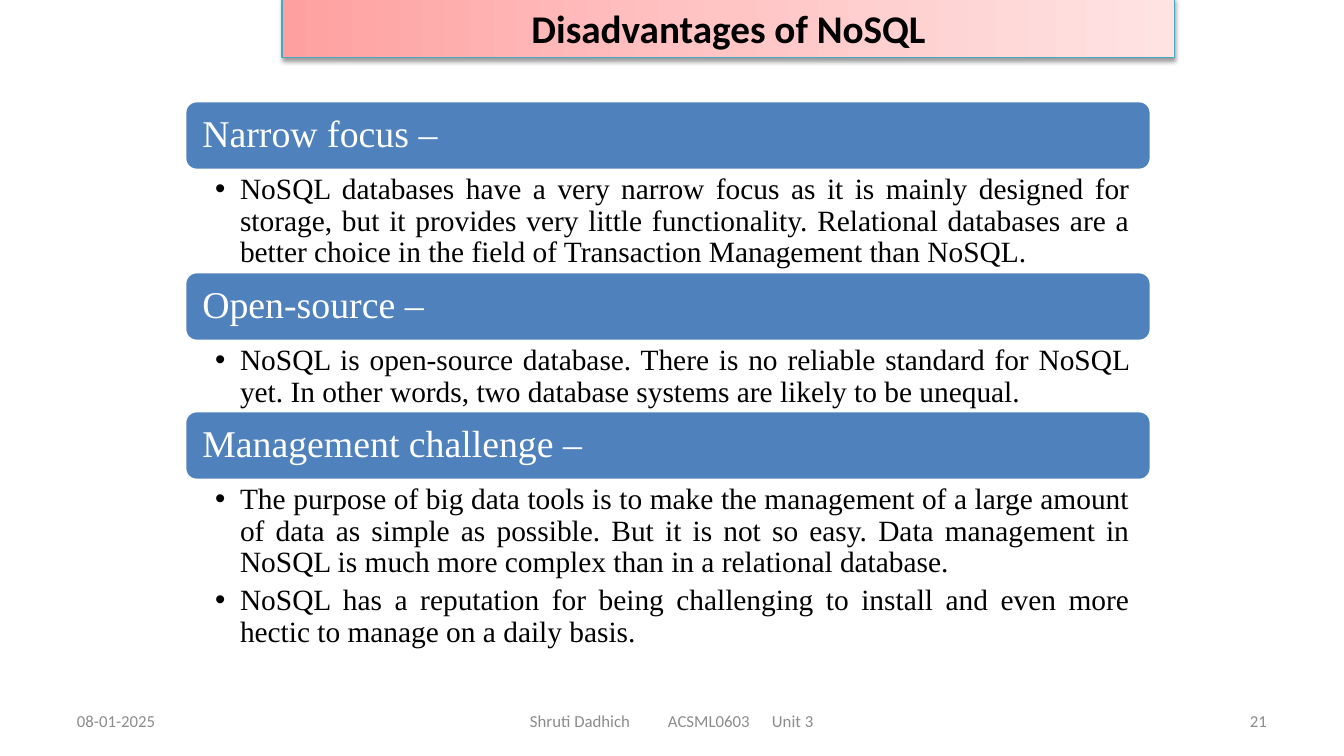
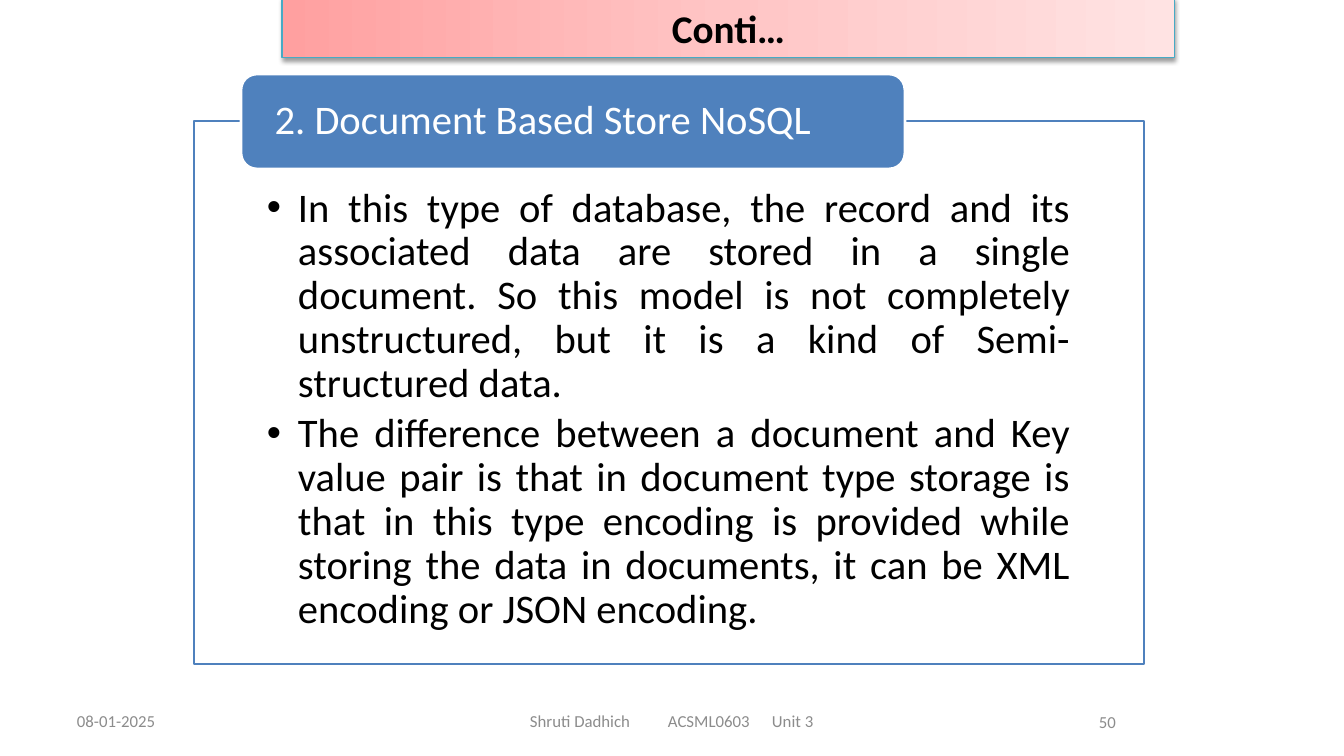
from dataclasses import dataclass

from lxml.etree import SubElement
from pptx import Presentation
from pptx.dml.color import RGBColor
from pptx.enum.shapes import MSO_SHAPE
from pptx.enum.text import MSO_ANCHOR, MSO_AUTO_SIZE, PP_ALIGN
from pptx.oxml import parse_xml
from pptx.oxml.ns import nsdecls, qn
from pptx.util import Inches, Pt

SCALE = Inches(7.5) / 756


def px(length):
    return round(length * SCALE)


@dataclass(frozen=True)
class Theme:
    sans: str = "Calibri"
    serif: str = "Times New Roman"
    ink: str = "000000"
    paper: str = "FFFFFF"
    accent: str = "4F81BD"
    muted: str = "8C8C8C"
    band_edge: str = "46AAC5"
    band_stops: tuple = ((0, "FFA0A0"), (0.5, "FFC5C5"), (1, "FFE3E3"))
    title_size: int = 28
    footer_size: int = 12
    topic_size: int = 27
    detail_size: int = 21
    store_size: int = 29
    paragraph_gap: float = 4.5
    line_spacing: float = 0.9


class Deck:
    TITLE_AND_CONTENT = 1
    COMPARISON = 4

    def __init__(self, theme):
        self.theme = theme
        self.presentation = Presentation()
        self.presentation.slide_width = px(1344)
        self.presentation.slide_height = px(756)
        self.slide = None
        self.bodies = []

    def start(self, layout, title, number, number_right, number_top=701):
        self.slide = self.presentation.slides.add_slide(
            self.presentation.slide_layouts[layout])
        self.bodies = [holder for holder in self.slide.placeholders
                       if holder.placeholder_format.idx > 0]
        self.title(title)
        self.footer("08-01-2025", 77, 701, 200)
        self.footer("Shruti Dadhich\tACSML0603\tUnit 3", 530, 701, 330, tabs=(138, 242))
        self.footer(number, number_right - 60, number_top, 60, PP_ALIGN.RIGHT)

    def finish(self):
        for holder in self.bodies:
            holder.element.getparent().remove(holder.element)

    def place(self, shape, left, top, width, height):
        shape.left, shape.top = px(left), px(top)
        shape.width, shape.height = px(width), px(height)

    def frame(self, shape, anchor, insets=(0, 0, 0, 0)):
        frame = shape.text_frame
        frame.word_wrap = True
        frame.auto_size = MSO_AUTO_SIZE.NONE
        frame.vertical_anchor = anchor
        (frame.margin_left, frame.margin_top,
         frame.margin_right, frame.margin_bottom) = map(px, insets)
        return frame

    def style(self, paragraph, size, color, font, align, bold=False):
        paragraph.alignment = align
        paragraph.space_before = Pt(0)
        paragraph.font.size = Pt(size)
        paragraph.font.name = font
        paragraph.font.bold = bold
        paragraph.font.color.rgb = RGBColor.from_string(color)

    def paint(self, shape, fill, line):
        shape.fill.solid()
        shape.fill.fore_color.rgb = RGBColor.from_string(fill)
        shape.line.color.rgb = RGBColor.from_string(line)
        shape.line.width = Pt(2)
        shape.shadow.inherit = False

    def title(self, text):
        theme = self.theme
        band = self.slide.shapes.title
        self.place(band, 282, -2, 893, 60)
        band.fill.gradient()
        band.fill.gradient_angle = 0
        stops = band.element.spPr.find(".//" + qn("a:gsLst"))
        stops.append(parse_xml(
            f'<a:gs {nsdecls("a")} pos="100000"><a:srgbClr val="{theme.paper}"/></a:gs>'))
        for stop, (position, color) in zip(band.fill.gradient_stops, theme.band_stops):
            stop.position = position
            stop.color.rgb = RGBColor.from_string(color)
        band.line.color.rgb = RGBColor.from_string(theme.band_edge)
        band.line.width = Pt(0.75)
        band.shadow.inherit = False
        effects = band.element.spPr.find(qn("a:effectLst"))
        effects.append(parse_xml(
            f'<a:outerShdw {nsdecls("a")} blurRad="{Pt(3.1)}" dist="{Pt(1.6)}" dir="5400000" '
            f'rotWithShape="0"><a:srgbClr val="{theme.ink}"><a:alpha val="38000"/>'
            '</a:srgbClr></a:outerShdw>'))
        paragraph = self.frame(band, MSO_ANCHOR.MIDDLE).paragraphs[0]
        paragraph.text = text
        self.style(paragraph, theme.title_size, theme.ink, theme.sans, PP_ALIGN.CENTER, True)

    def footer(self, text, left, top, width, align=PP_ALIGN.LEFT, tabs=()):
        box = self.slide.shapes.add_textbox(px(left), px(top), px(width), px(40))
        paragraph = self.frame(box, MSO_ANCHOR.MIDDLE).paragraphs[0]
        paragraph.text = text
        if tabs:
            tab_list = SubElement(paragraph._p.get_or_add_pPr(), qn("a:tabLst"))
            for position in tabs:
                SubElement(tab_list, qn("a:tab"), pos=str(px(position)), algn="l")
        self.style(paragraph, self.theme.footer_size, self.theme.muted, self.theme.sans, align)

    def heading(self, text, left, top, width, height, inset, size, font):
        bar = self.slide.shapes.add_shape(
            MSO_SHAPE.ROUNDED_RECTANGLE, px(left), px(top), px(width), px(height))
        self.paint(bar, self.theme.accent, self.theme.paper)
        paragraph = self.frame(bar, MSO_ANCHOR.MIDDLE, (inset, 0, inset, 0)).paragraphs[0]
        paragraph.text = text
        paragraph.line_spacing = self.theme.line_spacing
        self.style(paragraph, size, self.theme.paper, font, PP_ALIGN.JUSTIFY)

    def bullets(self, items, left, top, width, height, insets, indent, size, font):
        body = self.bodies.pop(0)
        self.place(body, left, top, width, height)
        frame = self.frame(body, MSO_ANCHOR.TOP, insets)
        for index, item in enumerate(items):
            paragraph = frame.add_paragraph() if index else frame.paragraphs[0]
            paragraph.text = item
            properties = paragraph._p.get_or_add_pPr()
            properties.set("marL", str(px(indent)))
            properties.set("indent", str(-px(indent)))
            SubElement(properties, qn("a:buFont"), typeface="Arial")
            SubElement(properties, qn("a:buChar"), char="•")
            paragraph.line_spacing = self.theme.line_spacing
            paragraph.space_after = Pt(self.theme.paragraph_gap)
            self.style(paragraph, size, self.theme.ink, font, PP_ALIGN.JUSTIFY)
        return body


DISADVANTAGES = (
    ("Narrow focus –", 102, (
        "NoSQL databases have a very narrow focus as it is mainly designed for storage, "
        "but it provides very little functionality. Relational databases are a better "
        "choice in the field of Transaction Management than NoSQL.",)),
    ("Open-source –", 70, (
        "NoSQL is open-source database. There is no reliable standard for NoSQL yet. "
        "In other words, two database systems are likely to be unequal.",)),
    ("Management challenge –", 169, (
        "The purpose of big data tools is to make the management of a large amount of data "
        "as simple as possible. But it is not so easy. Data management in NoSQL is much "
        "more complex than in a relational database.",
        "NoSQL has a reputation for being challenging to install and even more hectic to "
        "manage on a daily basis.")),
)

DOCUMENT_STORE = (
    "In this type of database, the record and its associated data are stored in a single "
    "document. So this model is not completely unstructured, but it is a kind of "
    "Semi-structured data.",
    "The difference between a document and Key value pair is that in document type storage "
    "is that in this type encoding is provided while storing the data in documents, it can "
    "be XML encoding or JSON encoding.",
)


def disadvantages(deck):
    theme = deck.theme
    deck.start(deck.COMPARISON, "Disadvantages of NoSQL", "21", 1267)
    left, top, width, bar_height = 185, 101, 966, 69
    for topic, detail_height, details in DISADVANTAGES:
        deck.heading(topic, left, top, width, bar_height, 14, theme.topic_size, theme.serif)
        top += bar_height
        deck.bullets(details, left, top, width, detail_height, (30, 4, 21, 4), 25,
                     theme.detail_size, theme.serif)
        top += detail_height
    deck.finish()


def document_store(deck):
    theme = deck.theme
    deck.start(deck.TITLE_AND_CONTENT, "Conti…", "50", 1116, 702)
    panel = deck.bullets(DOCUMENT_STORE, 194, 121, 950, 543, (73, 66, 73, 23), 31,
                         theme.store_size, theme.sans)
    deck.paint(panel, theme.paper, theme.accent)
    deck.heading("2. Document Based Store NoSQL", 241, 74, 664, 95, 29,
                 theme.store_size, theme.sans)
    deck.finish()


def main():
    deck = Deck(Theme())
    disadvantages(deck)
    document_store(deck)
    deck.presentation.save("out.pptx")


if __name__ == "__main__":
    main()
